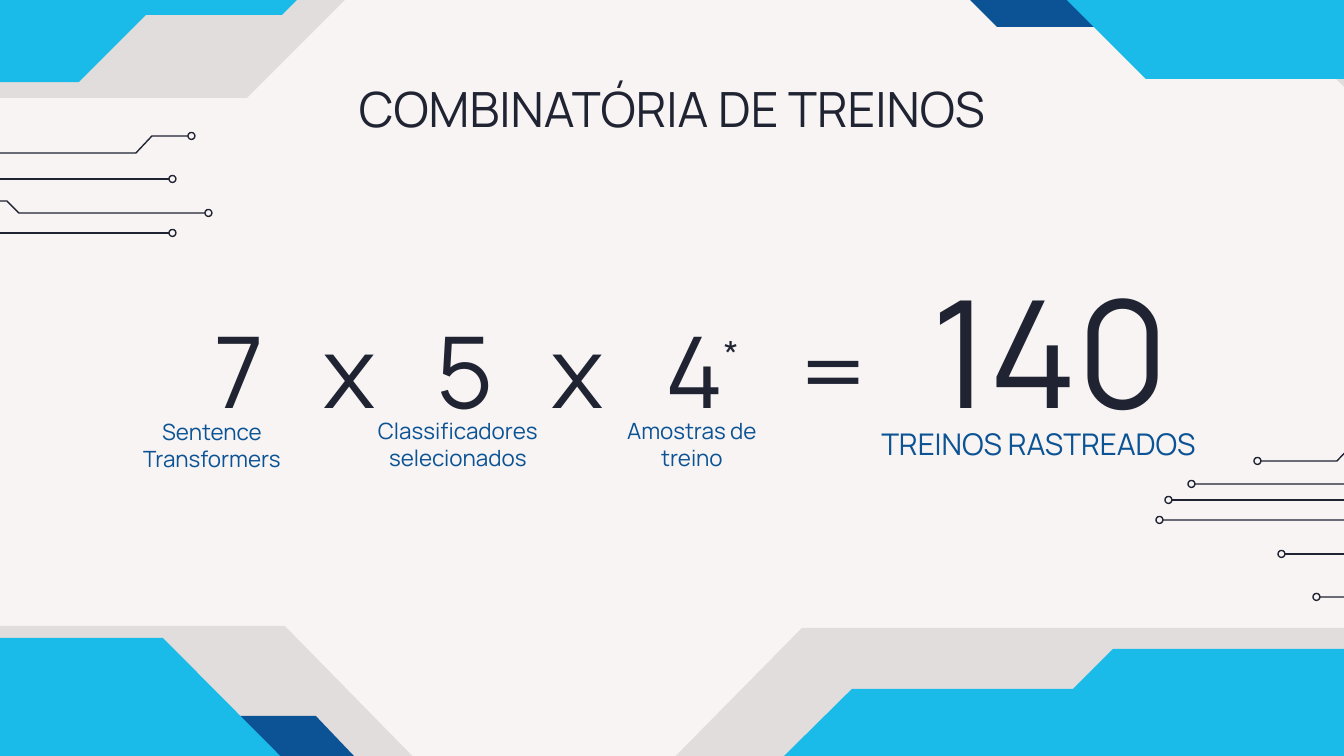
from lxml.etree import SubElement
from pptx import Presentation
from pptx.dml.color import RGBColor
from pptx.enum.shapes import MSO_CONNECTOR, MSO_SHAPE
from pptx.enum.text import MSO_ANCHOR, MSO_AUTO_SIZE, PP_ALIGN
from pptx.oxml.ns import qn
from pptx.util import Emu, Pt

EMU_PER_PX = 914400 / 134.4
FONT = "Manrope"
INSET = 13
RING_SIZE = 7

BACKGROUND = RGBColor(0xF8, 0xF4, 0xF4)
BLACK = RGBColor(0x00, 0x00, 0x00)
NAVY = RGBColor(0x0B, 0x53, 0x94)
CYAN = RGBColor(0x1B, 0xBB, 0xE9)
INK = RGBColor(0x20, 0x23, 0x31)

SHADOW_BANDS = [
    [(1169, -335), (1439, -335), (1441, 183), (1169, -87)],
    [(0, 98), (0, -171), (517, -172), (247, 98)],
    [(285, 626), (433, 777), (655, 777), (802, 628),
     (1344, 628), (1344, 907), (0, 907), (0, 626)],
]
NAVY_BANDS = [
    [(355, 757), (316, 716), (146, 716), (185, 757)],
    [(970, 0), (997, 27), (1118, 27), (1091, 0)],
]
CYAN_BANDS = [
    [(1146, 79), (996, -71), (952, -71), (952, -146), (1364, -146), (1364, 79)],
    [(-212, 82), (-212, -224), (449, -224), (449, -120),
     (417, -120), (282, 15), (146, 15), (79, 82)],
    [(163, 638), (313, 789), (357, 789), (357, 864), (-55, 864), (-55, 638)],
    [(1429, 649), (1429, 1093), (677, 1093), (677, 767),
     (773, 767), (852, 689), (1073, 689), (1113, 649)],
]
# Each trace runs from beyond the slide edge to its ring.
CIRCUIT_TRACES = [
    [(-54, 179), (169, 179)],
    [(-35, 153), (136, 153), (152, 136), (188, 136)],
    [(-239, 201), (7, 201), (19, 213), (205, 213)],
    [(-266, 233), (169, 233)],
    [(1509, 554), (1285, 554)],
    [(1543, 580), (1372, 580), (1355, 597), (1320, 597)],
    [(1607, 532), (1362, 532), (1349, 520), (1163, 520)],
    [(1610, 454), (1411, 454), (1380, 484), (1195, 484)],
    [(1610, 437), (1360, 437), (1337, 461), (1261, 461)],
    [(1609, 500), (1172, 500)],
]
EQUATION = [("7\tx\t5\tx\t4", 53, 0), ("*", 32, 70), ("\t=\t", 53, 0), ("140", 80, 0)]
EQUATION_TABS = [135, 250, 363, 487, 619, 835]
CAPTIONS = [
    ("Sentence Transformers", (113, 405, 198, 73), 12),
    ("Classificadores selecionados", (351, 404, 214, 73), 12),
    ("Amostras de treino", (585, 404, 214, 73), 12),
    ("TREINOS RASTREADOS", (830, 413, 417, 73), 16),
]


def px(length):
    return Emu(round(length * EMU_PER_PX))


def outline(shape):
    shape.line.color.rgb = INK
    shape.line.width = Pt(0.75)


def build_outline(slide, points, close):
    builder = slide.shapes.build_freeform(*points[0], scale=EMU_PER_PX)
    builder.add_line_segments(points[1:], close=close)
    shape = builder.convert_to_shape()
    shape.shadow.inherit = False
    return shape


def add_band(slide, points, color, opacity=100):
    band = build_outline(slide, points, close=True)
    band.fill.solid()
    band.fill.fore_color.rgb = color
    band.line.fill.background()
    if opacity < 100:
        color_element = band.fill._xPr.find(qn("a:solidFill"))[0]
        SubElement(color_element, qn("a:alpha"), val=str(opacity * 1000))


def add_trace(slide, points):
    """Draw a circuit line that ends in a small ring."""
    if len(points) == 2:
        (start_x, start_y), (end_x, end_y) = points
        trace = slide.shapes.add_connector(
            MSO_CONNECTOR.STRAIGHT, px(start_x), px(start_y), px(end_x), px(end_y))
        SubElement(trace._element.spPr, qn("a:effectLst"))
    else:
        trace = build_outline(slide, points, close=False)
        trace.fill.background()
    outline(trace)

    end_x, end_y = points[-1]
    left = end_x if points[0][0] < end_x else end_x - RING_SIZE
    ring = slide.shapes.add_shape(
        MSO_SHAPE.OVAL, px(left), px(end_y - RING_SIZE / 2), px(RING_SIZE), px(RING_SIZE))
    ring.shadow.inherit = False
    ring.fill.background()
    outline(ring)


def add_text(slide, runs, box, *, color=INK, align=PP_ALIGN.CENTER,
             anchor=MSO_ANCHOR.TOP, left_inset=INSET, tabs=(), shape=None):
    """Write (text, size, raise in percent) runs in a text box or a given placeholder."""
    left, top, width, height = map(px, box)
    if shape is None:
        shape = slide.shapes.add_textbox(left, top, width, height)
    else:
        shape.left, shape.top, shape.width, shape.height = left, top, width, height
    frame = shape.text_frame
    frame.word_wrap = True
    frame.auto_size = MSO_AUTO_SIZE.NONE
    frame.vertical_anchor = anchor
    frame.margin_left = px(left_inset)
    frame.margin_right = frame.margin_top = frame.margin_bottom = px(INSET)
    paragraph = frame.paragraphs[0]
    paragraph.alignment = align
    for text, size, raised in runs:
        run = paragraph.add_run()
        run.text = text
        run.font.name = FONT
        run.font.size = Pt(size)
        run.font.color.rgb = color
        if raised:
            run.font._element.set("baseline", str(raised * 1000))
    if tabs:
        tab_list = SubElement(paragraph._p.get_or_add_pPr(), qn("a:tabLst"))
        for position in tabs:
            SubElement(tab_list, qn("a:tab"), pos=str(px(position)), algn="ctr")


def main():
    presentation = Presentation()
    presentation.slide_width, presentation.slide_height = px(1344), px(756)
    slide = presentation.slides.add_slide(presentation.slide_layouts[5])
    slide.background.fill.solid()
    slide.background.fill.fore_color.rgb = BACKGROUND

    for points in SHADOW_BANDS:
        add_band(slide, points, BLACK, opacity=9)
    for points in NAVY_BANDS:
        add_band(slide, points, NAVY)
    for points in CYAN_BANDS:
        add_band(slide, points, CYAN)
    for points in CIRCUIT_TRACES:
        add_trace(slide, points)

    add_text(slide, [("COMBINATÓRIA DE TREINOS", 26, 0)], (106, 66, 1133, 85),
             anchor=MSO_ANCHOR.MIDDLE, shape=slide.shapes.title)
    add_text(slide, EQUATION, (173, 292, 1038, 113), align=PP_ALIGN.LEFT,
             anchor=MSO_ANCHOR.MIDDLE, left_inset=42, tabs=EQUATION_TABS)
    for text, box, size in CAPTIONS:
        add_text(slide, [(text, size, 0)], box, color=NAVY)

    presentation.save("out.pptx")


if __name__ == "__main__":
    main()
